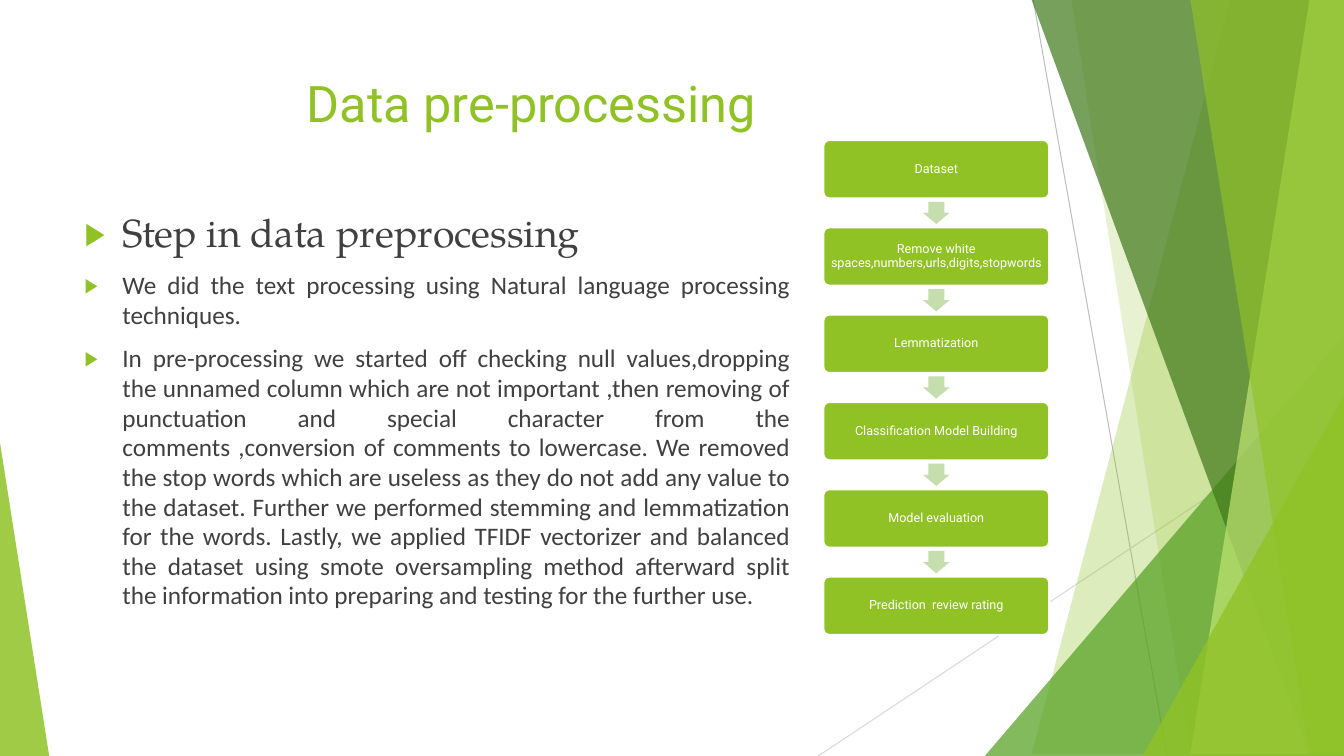
from dataclasses import dataclass

from lxml.etree import SubElement
from pptx import Presentation
from pptx.dml.color import RGBColor
from pptx.enum.shapes import MSO_CONNECTOR as Connector, MSO_SHAPE as Preset
from pptx.enum.text import MSO_ANCHOR as Anchor, MSO_AUTO_SIZE as AutoSize, PP_ALIGN as Align
from pptx.oxml.ns import qn
from pptx.util import Cm, Pt


@dataclass(frozen=True)
class Theme:
    lime: str = "90C226"
    green: str = "54A021"
    forest: str = "3F7819"
    pale: str = "C0E474"
    arrow: str = "C6DDAD"
    text: str = "404040"
    white: str = "FFFFFF"
    sans: str = "Roboto"
    title_size: float = 36
    step_size: float = 9


THEME = Theme()
WIDTH, HEIGHT = 33.87, 19.05

TITLE = "Data pre-processing"
BODY = [
    ("Step in data preprocessing", "TeX Gyre Pagella", 28),
    ("We did the text processing using Natural language processing techniques.", "Calibri", 18),
    ("In pre-processing we started off checking null values,dropping the unnamed column which "
     "are not important ,then removing of punctuation and special character from the "
     "comments ,conversion of comments to lowercase. We removed the stop words which are "
     "useless as they do not add any value to the dataset. Further we performed stemming and "
     "lemmatization for the words. Lastly, we applied TFIDF vectorizer and balanced the dataset "
     "using smote oversampling method afterward split the information into preparing and "
     "testing for the further use.", "Calibri", 18),
]
STEPS = [
    "Dataset",
    "Remove white spaces,numbers,urls,digits,stopwords",
    "Lemmatization",
    "Classification Model Building",
    "Model evaluation",
    "Prediction  review rating",
]

# (x1, y1, x2, y2, colour)
RAYS = [(26.04, 0, 29.41, HEIGHT, "BFBFBF"), (WIDTH, 10.24, 20.62, HEIGHT, "D9D9D9")]
BACK_BANDS = [(31.19, 25.5, THEME.lime, 30), (26.67, 30.05, THEME.lime, 20)]
FRONT_BANDS = [
    (25.93, 32.79, THEME.forest, 70),
    (33.1, 30.28, THEME.pale, 70),
    (30.38, 33.48, THEME.lime, 65),
]
BACK_WEDGES = [(24.82, 8.46, 9.05, 1, THEME.green, 72)]
FRONT_WEDGES = [(28.8, 9.98, 5.07, 1, THEME.lime, 80), (0, 11.15, 1.24, 0, THEME.lime, 85)]

STEP_LEFT, STEP_TOP, STEP_WIDTH, STEP_HEIGHT, STEP_PITCH = 20.75, 3.53, 5.69, 1.47, 2.2
ARROW_LENGTH, ARROW_BREADTH = 0.56, 0.67


def place(shape, left, top, width, height):
    shape.left, shape.top, shape.width, shape.height = Cm(left), Cm(top), Cm(width), Cm(height)


def paint(shape, colour, opacity=100):
    shape.shadow.inherit = False
    shape.fill.solid()
    shape.fill.fore_color.rgb = RGBColor.from_string(colour)
    shape.line.fill.background()
    if opacity < 100:
        tint = shape.fill._xPr.find(qn("a:solidFill"))[0]
        SubElement(tint, qn("a:alpha"), val=str(opacity * 1000))


def style(paragraph, name, size, colour, align):
    paragraph.font.name, paragraph.font.size = name, Pt(size)
    paragraph.font.color.rgb = RGBColor.from_string(colour)
    paragraph.alignment = align


def add_ray(shapes, x1, y1, x2, y2, colour):
    ray = shapes.add_connector(Connector.STRAIGHT, Cm(x1), Cm(y1), Cm(x2), Cm(y2))
    ray.line.color.rgb = RGBColor.from_string(colour)
    ray.line.width = Pt(0.75)
    SubElement(ray._element.spPr, qn("a:effectLst"))


def add_bands(shapes, bands):
    for top_x, bottom_x, colour, opacity in bands:
        builder = shapes.build_freeform(top_x, 0, scale=Cm(1))
        builder.add_line_segments([(WIDTH, 0), (WIDTH, HEIGHT), (bottom_x, HEIGHT)])
        paint(builder.convert_to_shape(), colour, opacity)


def add_wedges(shapes, wedges):
    for left, top, width, apex, colour, opacity in wedges:
        wedge = shapes.add_shape(Preset.ISOSCELES_TRIANGLE, Cm(left), Cm(top), Cm(width), Cm(HEIGHT - top))
        wedge.adjustments[0] = apex
        paint(wedge, colour, opacity)


def add_bullet(paragraph):
    properties = paragraph._p.get_or_add_pPr()
    properties.set("marL", str(Cm(0.95)))
    properties.set("indent", str(-Cm(0.95)))
    SubElement(SubElement(properties, qn("a:buClr")), qn("a:srgbClr"), val=THEME.lime)
    SubElement(properties, qn("a:buSzPct"), val="80000")
    SubElement(properties, qn("a:buChar"), char="▶")


def fill_title(title):
    place(title, 1.88, 1.7, 23.88, 3.66)
    frame = title.text_frame
    frame.text = TITLE
    frame.auto_size = AutoSize.NONE
    frame.vertical_anchor = Anchor.TOP
    frame.margin_left = Cm(5.85)
    style(frame.paragraphs[0], THEME.sans, THEME.title_size, THEME.lime, Align.LEFT)


def fill_body(body):
    place(body, 1.88, 3.81, 18.29, 12.98)
    frame = body.text_frame
    frame.text = "\n".join(text for text, _, _ in BODY)
    frame.auto_size = AutoSize.NONE
    frame.vertical_anchor = Anchor.TOP
    frame.margin_top = Cm(1.5)
    for paragraph, (_, name, size) in zip(frame.paragraphs, BODY):
        style(paragraph, name, size, THEME.text, Align.JUSTIFY)
        paragraph.space_before = Pt(10)
        paragraph.line_spacing = 0.98
        add_bullet(paragraph)


def add_step(shapes, index, label):
    top = STEP_TOP + index * STEP_PITCH
    box = shapes.add_shape(Preset.ROUNDED_RECTANGLE, Cm(STEP_LEFT), Cm(top), Cm(STEP_WIDTH), Cm(STEP_HEIGHT))
    box.adjustments[0] = 0.1
    paint(box, THEME.lime)
    box.line.color.rgb = RGBColor.from_string(THEME.white)
    box.line.width = Pt(1.5)
    frame = box.text_frame
    frame.text = label
    frame.word_wrap = True
    frame.vertical_anchor = Anchor.MIDDLE
    frame.margin_left = frame.margin_right = frame.margin_top = frame.margin_bottom = Cm(0.13)
    style(frame.paragraphs[0], THEME.sans, THEME.step_size, THEME.white, Align.CENTER)
    frame.paragraphs[0].line_spacing = 0.9
    if index < len(STEPS) - 1:
        middle = top + (STEP_HEIGHT + STEP_PITCH) / 2
        arrow = shapes.add_shape(
            Preset.RIGHT_ARROW,
            Cm(STEP_LEFT + (STEP_WIDTH - ARROW_LENGTH) / 2), Cm(middle - ARROW_BREADTH / 2),
            Cm(ARROW_LENGTH), Cm(ARROW_BREADTH))
        arrow.rotation = 90
        arrow.adjustments[0], arrow.adjustments[1] = 0.6, 0.5
        paint(arrow, THEME.arrow)


def main():
    """Build the data pre-processing slide."""
    presentation = Presentation()
    presentation.slide_width, presentation.slide_height = Cm(WIDTH), Cm(HEIGHT)
    slide = presentation.slides.add_slide(presentation.slide_layouts[1])
    shapes = slide.shapes
    title, body = shapes.title, slide.placeholders[1]
    for ray in RAYS:
        add_ray(shapes, *ray)
    add_bands(shapes, BACK_BANDS)
    add_wedges(shapes, BACK_WEDGES)
    add_bands(shapes, FRONT_BANDS)
    add_wedges(shapes, FRONT_WEDGES)
    fill_title(title)
    fill_body(body)
    for placeholder in (title, body):
        shapes._spTree.append(placeholder._element)
    for index, label in enumerate(STEPS):
        add_step(shapes, index, label)
    presentation.save("out.pptx")


if __name__ == "__main__":
    main()
